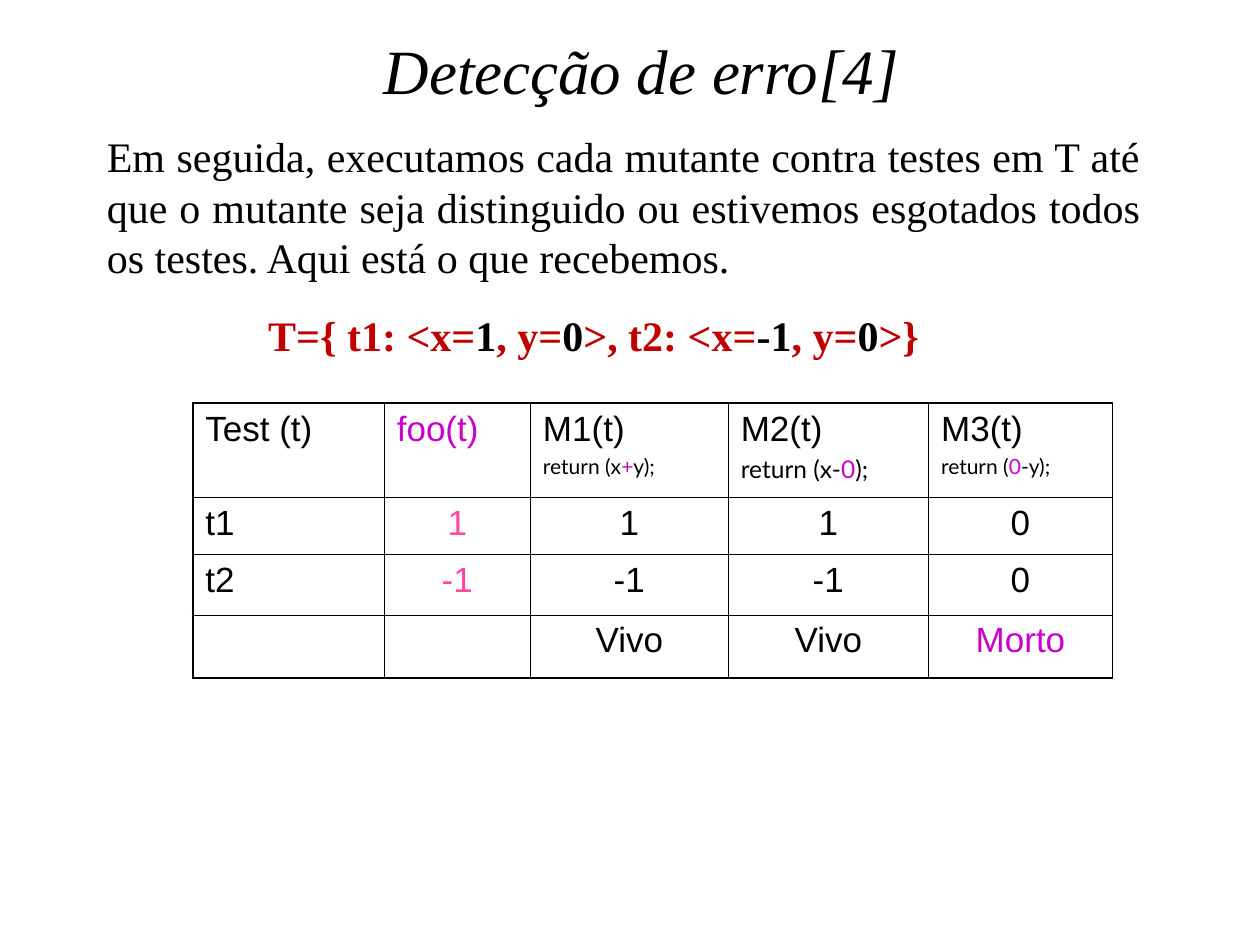
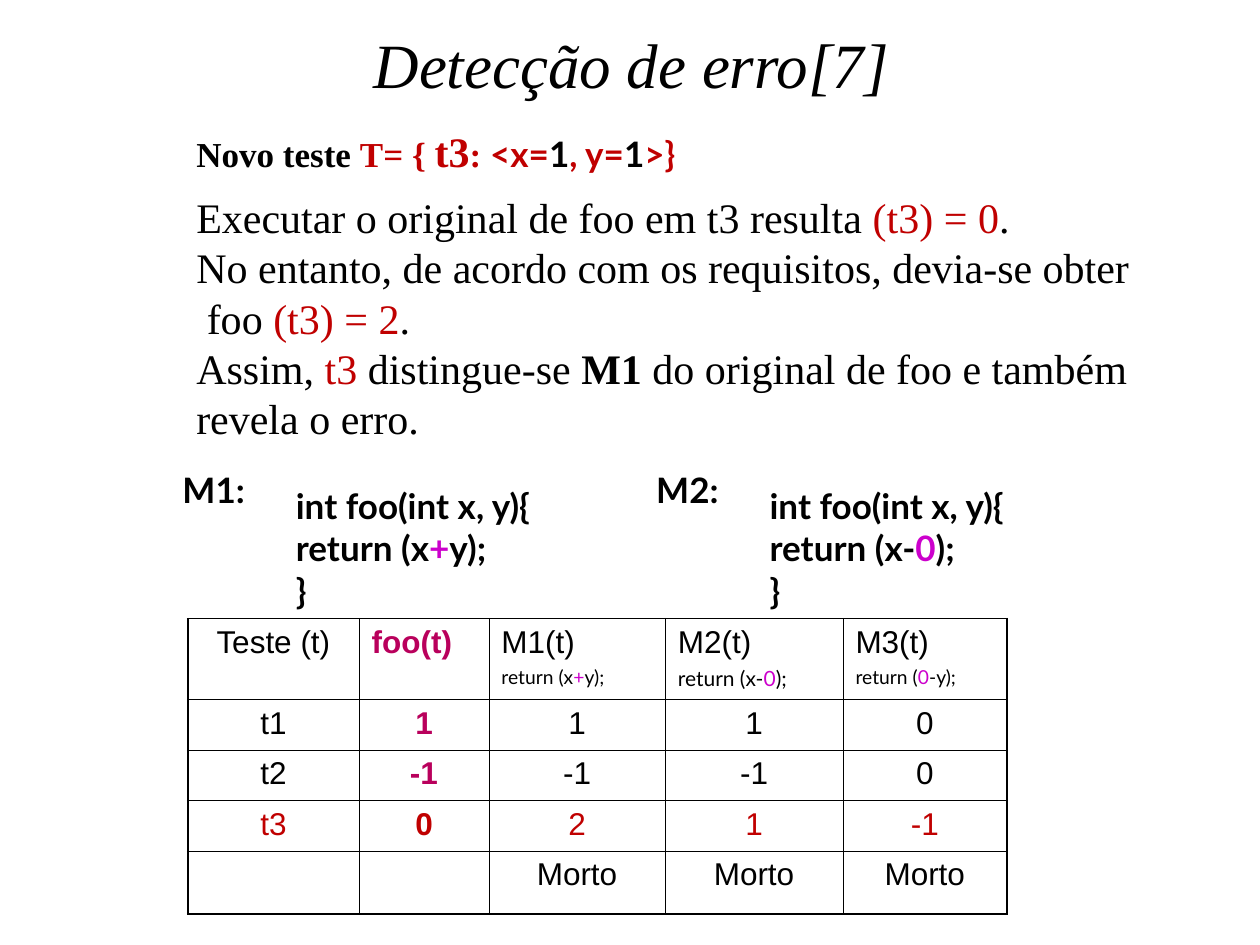
"""Build two slides on error detection with mutation testing."""
from lxml.etree import SubElement
from pptx import Presentation
from pptx.dml.color import RGBColor
from pptx.enum.text import MSO_ANCHOR as Anchor, PP_ALIGN as Align
from pptx.oxml.ns import qn
from pptx.util import Inches, Pt

BLACK, RED, MAGENTA, PINK, PLUM = "000000", "C00000", "CC00CC", "FF47A3", "B9005C"
SERIF, SANS, CODE = "Times New Roman", "Arial", "Lato"
TITLE = {"name": SERIF, "size": Pt(36), "italic": True}
BODY = {"name": SERIF, "size": Pt(24)}
TEST_SET = {"name": SERIF, "size": Pt(24), "bold": True, "color": RED}
LISTING = {"name": CODE, "size": Pt(20), "bold": True}
THIN, THICK = Pt(0.45), Pt(1.08)


def write(frame, paragraphs, base, align=Align.LEFT, gaps=()):
    """Fill a text frame; each paragraph is a list of (text, format changes)."""
    for index, pieces in enumerate(paragraphs):
        paragraph = frame.paragraphs[0] if index == 0 else frame.add_paragraph()
        paragraph.alignment = align
        if index and gaps:
            paragraph.space_before = Pt(gaps[index - 1])
        for text, changes in pieces:
            run = paragraph.add_run()
            run.text = text
            look = {"color": BLACK, **base, **changes}
            run.font.color.rgb = RGBColor.from_string(look.pop("color"))
            for attribute, value in look.items():
                setattr(run.font, attribute, value)


def add_text(slide, place, paragraphs, base, align=Align.LEFT, anchor=Anchor.TOP):
    """Add a text box at left, top, width, height in inches."""
    frame = slide.shapes.add_textbox(*map(Inches, place)).text_frame
    frame.word_wrap = True
    frame.vertical_anchor = anchor
    write(frame, paragraphs, base, align)


prs = Presentation()
prs.slide_width, prs.slide_height = Inches(10), Inches(7.5)
execution, revelation = [prs.slides.add_slide(prs.slide_layouts[6]) for _ in range(2)]

black, red, magenta = {"color": BLACK}, {"color": RED}, {"color": MAGENTA}
returns = {
    "M1": [("return (x", {}), ("+", magenta), ("y);", {})],
    "M2": [("return (x-", {}), ("0", magenta), (");", {})],
    "M3": [("return (", {}), ("0", magenta), ("-y);", {})],
}

add_text(execution, (0.75, 0.99, 8.4, 1.3), [[(
    "Em seguida, executamos cada mutante contra testes em T até que o mutante seja "
    "distinguido ou estivemos esgotados todos os testes. Aqui está o que recebemos.", {})]],
    BODY, Align.JUSTIFY)
add_text(execution, (2.03, 2.41, 5.6, 0.5), [[
    ("T={ t1: <x=", {}), ("1", black), (", y=", {}), ("0", black), (">, t2: <x=", {}),
    ("-1", black), (", y=", {}), ("0", black), (">}", {})]], TEST_SET)

add_text(revelation, (1.46, 0.95, 4.72, 0.5), [[
    ("Novo teste ", {"size": Pt(20), **black}), ("T= { ", {"size": Pt(20)}), ("t3", {}),
    (": ", {"size": Pt(20)}), *[(text, {"name": CODE, "size": Pt(20), **tint}) for text, tint in
    [("<x=", red), ("1", black), (", y=", red), ("1", black), (">}", red)]]]], TEST_SET)
add_text(revelation, (1.46, 1.47, 8.4, 2.1), [
    [("Executar o original de foo em t3 resulta ", {}), ("(t3) = 0", red), (".", {})],
    [("No entanto, de acordo com os requisitos, devia-se obter", {})],
    [(" foo ", {}), ("(t3) = 2", red), (".", {})],
    [("Assim, ", {}), ("t3", red), (" distingue-se ", {}), ("M1", {"bold": True}),
     (" do original de foo e também revela o erro.", {})]], BODY)
for mutant, left in (("M1", 1.35), ("M2", 5.11)):
    add_text(revelation, (left, 3.67, 0.8, 0.44), [[(f"{mutant}:", {})]], LISTING)
    add_text(revelation, (left + 0.9, 3.8, 2.5, 1.1),
             [[("int foo(int x, y){", {})], returns[mutant], [("}", {})]], LISTING)

foo_plum = {"color": PLUM, "bold": True}
results = [
    {"slide": execution, "place": (1.53, 3.2), "size": 20, "code_sizes": (12, 14, 12),
     "widths": (1.52, 1.16, 1.57, 1.59, 1.46), "heights": (0.75, 0.45, 0.48, 0.5),
     "rows": [("Test (t)", "foo(t)", "M1(t)", "M2(t)", "M3(t)"),
              ("t1", "1", "1", "1", "0"), ("t2", "-1", "-1", "-1", "0"),
              ("", "", "Vivo", "Vivo", "Morto")],
     "label_align": Align.LEFT, "row_looks": {},
     "cell_looks": {(0, 1): magenta, (1, 1): {"color": PINK}, (2, 1): {"color": PINK},
                    (3, 4): magenta}},
    {"slide": revelation, "place": (1.49, 4.91), "size": 18, "code_sizes": (11, 12, 11),
     "widths": (1.36, 1.03, 1.4, 1.41, 1.3), "heights": (0.64, 0.4, 0.4, 0.4, 0.5),
     "rows": [("Teste (t)", "foo(t)", "M1(t)", "M2(t)", "M3(t)"),
              ("t1", "1", "1", "1", "0"), ("t2", "-1", "-1", "-1", "0"),
              ("t3", "0", "2", "1", "-1"), ("", "", "Morto", "Morto", "Morto")],
     "label_align": Align.CENTER, "row_looks": {3: red},
     "cell_looks": {**{(row, 1): foo_plum for row in range(3)}, (3, 1): {"bold": True}}},
]
for result in results:
    rows, widths, heights = result["rows"], result["widths"], result["heights"]
    table = result["slide"].shapes.add_table(
        len(rows), len(widths), *map(Inches, (*result["place"], sum(widths), sum(heights)))).table
    table.first_row = table.horz_banding = False
    for column, width in zip(table.columns, widths):
        column.width = Inches(width)
    for r, values in enumerate(rows):
        table.rows[r].height = Inches(heights[r])
        for c, value in enumerate(values):
            cell = table.cell(r, c)
            look = {**result["row_looks"].get(r, {}), **result["cell_looks"].get((r, c), {})}
            paragraphs, gaps = [[(value, look)]] if value else [], ()
            if r == 0 and c > 1:
                code_size = result["code_sizes"][c - 2]
                code = {"name": CODE, "size": Pt(code_size)}
                paragraphs.append([(text, {**code, **tint}) for text, tint in returns[value[:2]]])
                gaps = (code_size / 4,)
            align = result["label_align"] if c == 0 else Align.CENTER if r else Align.LEFT
            write(cell.text_frame, paragraphs, {"name": SANS, "size": Pt(result["size"])}, align, gaps)
            outer = {"L": c == 0, "R": c == len(values) - 1, "T": r == 0, "B": r == len(rows) - 1}
            properties = cell._tc.get_or_add_tcPr()
            for side, is_outer in outer.items():
                border = SubElement(properties, qn(f"a:ln{side}"), w=str(THICK if is_outer else THIN))
                SubElement(SubElement(border, qn("a:solidFill")), qn("a:srgbClr"), val=BLACK)
            cell.fill.background()

for slide, number, left, top in ((execution, 4, 0.83, 0.25), (revelation, 7, 0.75, 0.2)):
    add_text(slide, (left, top, 8.52, 0.65), [[(f"Detecção de erro[{number}]", {})]],
             TITLE, Align.CENTER, Anchor.BOTTOM)

prs.save("out.pptx")
